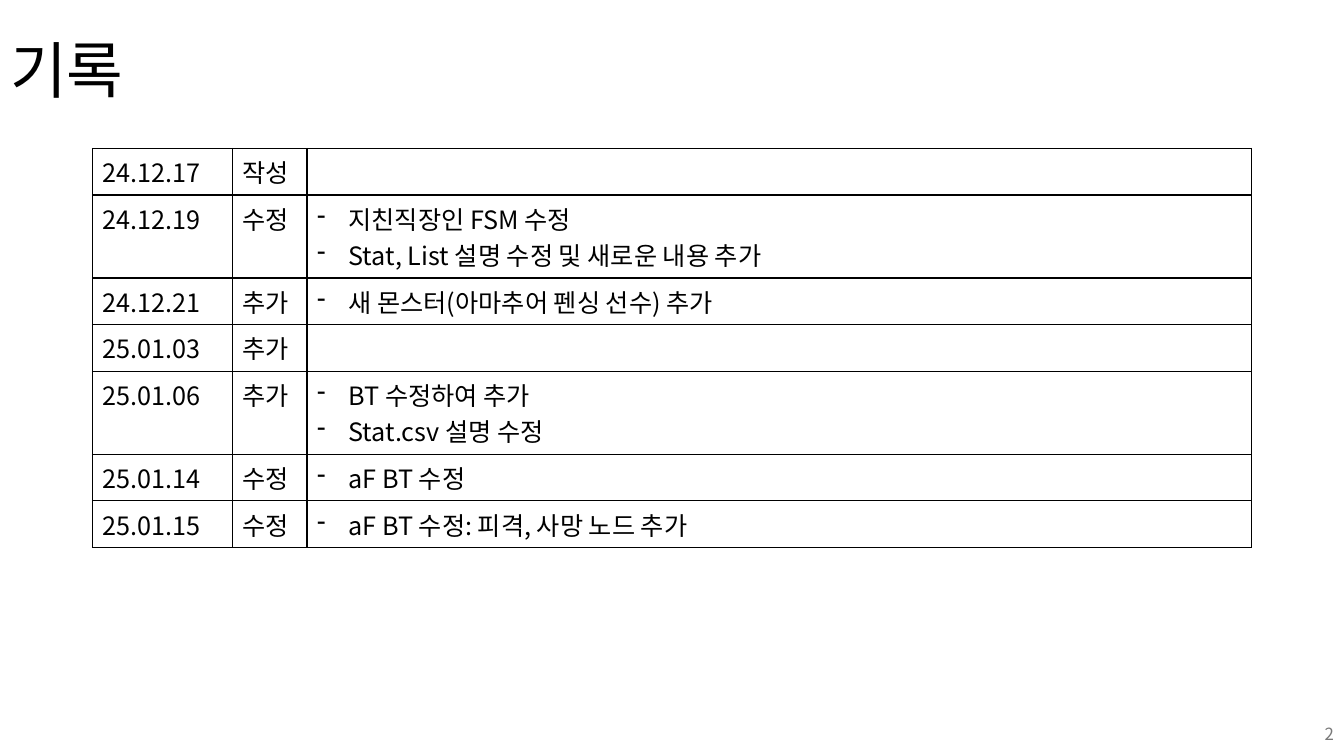
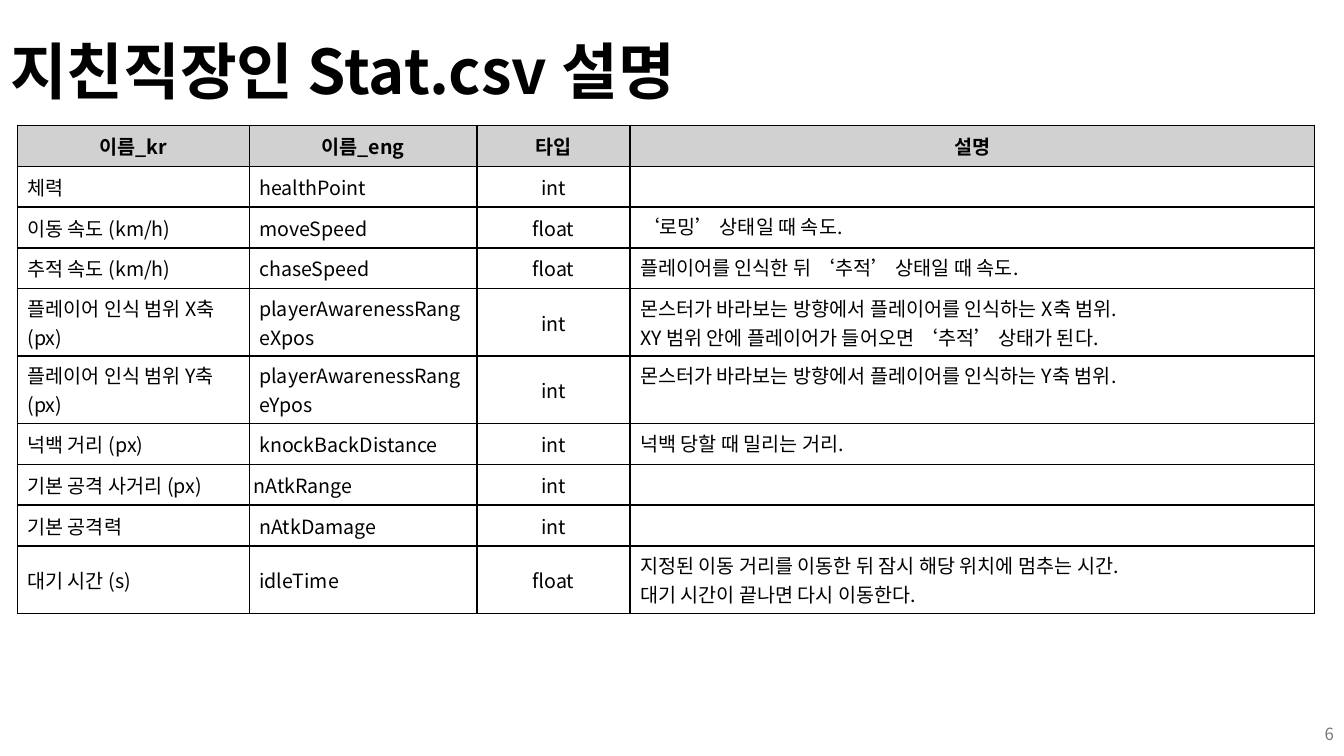
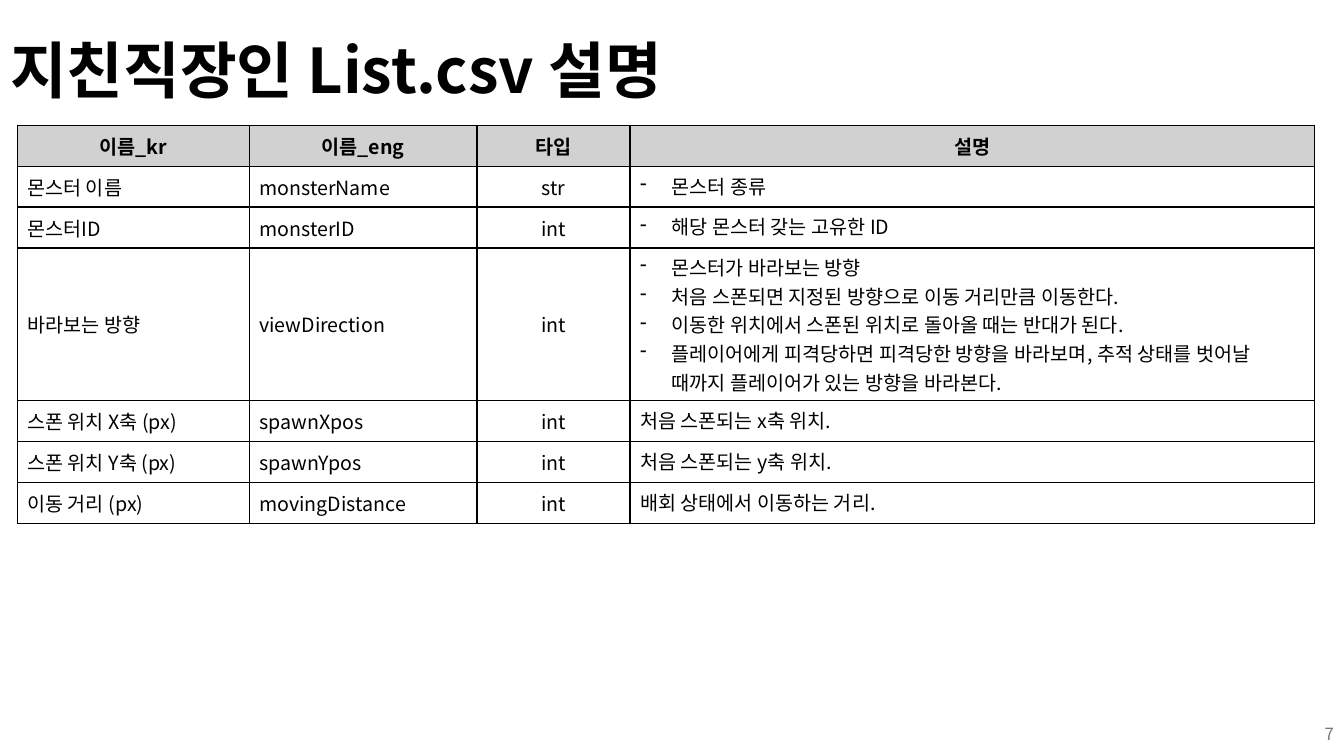
from dataclasses import dataclass

from lxml import etree
from pptx import Presentation
from pptx.dml.color import RGBColor
from pptx.enum import text
from pptx.oxml import ns
from pptx.util import Pt

LEFT, CENTER, RIGHT = text.PP_ALIGN.LEFT, text.PP_ALIGN.CENTER, text.PP_ALIGN.RIGHT
TOP, MIDDLE = text.MSO_ANCHOR.TOP, text.MSO_ANCHOR.MIDDLE


@dataclass(frozen=True)
class Theme:
    """Colours, font, type sizes and shared measures in points."""
    ink: RGBColor = RGBColor(0, 0, 0)
    muted: RGBColor = RGBColor(0x79, 0x79, 0x79)
    paper: RGBColor = RGBColor(0xFF, 0xFF, 0xFF)
    header: RGBColor = RGBColor(0xD1, 0xD1, 0xD1)
    font: str = "Noto Sans CJK KR"
    title: int = 44
    history: int = 18
    spec_table: int = 14
    number: int = 12
    row: float = 29.2
    border: float = 1
    bullet_indent: float = 22.5


THEME = Theme()
PAGE = (960, 540)
TITLE_BOX = (0, 0, 828, 104.4)
NUMBER_BOX = (744, 509.7, 216, 28.8)
HISTORY_BOX = (66, 106, 828)
STAT_BOX = (12.4, 89.5, 926.6)
HISTORY_SHARES = (100, 53.3, 674.7)
STAT_SHARES = (165.6, 162.7, 109.4, 488.9)
STAT_HEADER = ("이름_kr", "이름_eng", "타입", "설명")

HISTORY = (
    ("24.12.17", "작성", ""),
    ("24.12.19", "수정", ["지친직장인 FSM 수정", "Stat, List 설명 수정 및 새로운 내용 추가"]),
    ("24.12.21", "추가", ["새 몬스터(아마추어 펜싱 선수) 추가"]),
    ("25.01.03", "추가", ""),
    ("25.01.06", "추가", ["BT 수정하여 추가", "Stat.csv 설명 수정"]),
    ("25.01.14", "수정", ["aF BT 수정"]),
    ("25.01.15", "수정", ["aF BT 수정: 피격, 사망 노드 추가"]),
)

STATS = (
    ("체력", "healthPoint", "int", ""),
    ("이동 속도 (km/h)", "moveSpeed", "float", "‘로밍’ 상태일 때 속도."),
    ("추적 속도 (km/h)", "chaseSpeed", "float", "플레이어를 인식한 뒤 ‘추적’ 상태일 때 속도."),
    ("플레이어 인식 범위 X축 (px)", "playerAwarenessRangeXpos", "int",
     "몬스터가 바라보는 방향에서 플레이어를 인식하는 X축 범위. \n"
     "XY 범위 안에 플레이어가 들어오면 ‘추적’ 상태가 된다."),
    ("플레이어 인식 범위 Y축 (px)", "playerAwarenessRangeYpos", "int",
     "몬스터가 바라보는 방향에서 플레이어를 인식하는 Y축 범위."),
    ("넉백 거리 (px)", "knockBackDistance", "int", "넉백 당할 때 밀리는 거리."),
    ("기본 공격 사거리 (px)", " nAtkRange", "int", ""),
    ("기본 공격력", "nAtkDamage", "int", ""),
    ("대기 시간 (s)", "idleTime", "float",
     "지정된 이동 거리를 이동한 뒤 잠시 해당 위치에 멈추는 시간.\n"
     "대기 시간이 끝나면 다시 이동한다."),
)

LISTS = (
    ("몬스터 이름", "monsterName", "str", ["몬스터 종류"]),
    ("몬스터ID", "monsterID", "int", ["해당 몬스터 갖는 고유한 ID"]),
    ("바라보는 방향", "viewDirection", "int", [
        "몬스터가 바라보는 방향",
        "처음 스폰되면 지정된 방향으로 이동 거리만큼 이동한다.",
        "이동한 위치에서 스폰된 위치로 돌아올 때는 반대가 된다.",
        "플레이어에게 피격당하면 피격당한 방향을 바라보며, 추적 상태를 벗어날 때까지 "
        "플레이어가 있는 방향을 바라본다."]),
    ("스폰 위치 X축 (px)", "spawnXpos", "int", "처음 스폰되는 x축 위치."),
    ("스폰 위치 Y축 (px)", "spawnYpos", "int", "처음 스폰되는 y축 위치."),
    ("이동 거리 (px)", "movingDistance", "int", "배회 상태에서 이동하는 거리."),
)


def write(para, words, size, color=THEME.ink, bold=False, align=LEFT):
    """Add the words to a paragraph, one run for each line."""
    para.alignment = align
    for index, line in enumerate(words.split("\n")):
        if index:
            para.add_line_break()
        span = para.add_run()
        span.text = line
        span.font.size, span.font.bold, span.font.name = Pt(size), bold, THEME.font
        span.font.color.rgb = color
        east_asian = etree.SubElement(span.font._element, ns.qn("a:ea"))
        east_asian.set("typeface", THEME.font)


def add_bullet(para):
    """Give a paragraph a dash and a hanging indent."""
    properties = para._p.get_or_add_pPr()
    properties.set("marL", str(Pt(THEME.bullet_indent)))
    properties.set("indent", str(-Pt(THEME.bullet_indent)))
    etree.SubElement(properties, ns.qn("a:buChar")).set("char", "-")


def add_borders(cell):
    """Draw a thin line on each side of a cell."""
    properties = cell._tc.get_or_add_tcPr()
    for index, side in enumerate("LRTB"):
        line = etree.Element(ns.qn("a:ln" + side), w=str(Pt(THEME.border)))
        fill = etree.SubElement(line, ns.qn("a:solidFill"))
        etree.SubElement(fill, ns.qn("a:srgbClr")).set("val", str(THEME.ink))
        properties.insert(index, line)


def fill_cell(cell, content, size, fill=THEME.paper, anchor=TOP, bold=False, align=LEFT):
    """Format a cell and write plain text, or bullets from a list."""
    cell.fill.solid()
    cell.fill.fore_color.rgb = fill
    cell.vertical_anchor = anchor
    add_borders(cell)
    frame = cell.text_frame
    if not content:
        frame.paragraphs[0]._p.get_or_add_endParaRPr().set("sz", str(size * 100))
        return
    bulleted = isinstance(content, list)
    for index, words in enumerate(content if bulleted else [content]):
        para = frame.add_paragraph() if index else frame.paragraphs[0]
        write(para, words, size, bold=bold, align=align)
        if bulleted:
            add_bullet(para)


def add_grid(page, box, shares, row_count):
    """Add an unstyled table whose columns share the width of the box."""
    left, top, width = box
    table = page.shapes.add_table(row_count, len(shares), Pt(left), Pt(top), Pt(width),
                                  Pt(THEME.row * row_count)).table
    table.first_row = table.horz_banding = False
    for column, share in zip(table.columns, shares):
        column.width = Pt(round(width * share / sum(shares), 2))
    for row in table.rows:
        row.height = Pt(THEME.row)
    return table


def add_history(page, box, rows):
    """Add the table of dated changes."""
    table = add_grid(page, box, HISTORY_SHARES, len(rows))
    for row, contents in zip(table.rows, rows):
        for cell, content in zip(row.cells, contents):
            fill_cell(cell, content, THEME.history)


def add_field_table(page, box, rows):
    """Add a headed table that describes the fields of a file."""
    table = add_grid(page, box, STAT_SHARES, len(rows) + 1)
    for cell, heading in zip(table.rows[0].cells, STAT_HEADER):
        fill_cell(cell, heading, THEME.spec_table, THEME.header, MIDDLE, True, CENTER)
    for number, contents in enumerate(rows, 1):
        for column, content in enumerate(contents):
            cell = table.cell(number, column)
            fill_cell(cell, content, THEME.spec_table,
                      anchor=TOP if column == 3 else MIDDLE,
                      align=CENTER if column == 2 else LEFT)
            if content == " nAtkRange":
                cell.margin_left = cell.margin_right = 0
                cell.margin_top = cell.margin_bottom = 0


def place_text(shape, box, words, size, **style):
    """Put a text shape in its box and write one centred-height line."""
    shape.left, shape.top, shape.width, shape.height = map(Pt, box)
    frame = shape.text_frame
    frame.word_wrap = True
    frame.auto_size = text.MSO_AUTO_SIZE.NONE
    frame.vertical_anchor = MIDDLE
    write(frame.paragraphs[0], words, size, **style)
    return frame.paragraphs[0]


def add_page(deck, title, number, bold=True, title_drop=0):
    """Add a slide with its title and page number."""
    page = deck.slides.add_slide(deck.slide_layouts[5])
    left, top, width, height = TITLE_BOX
    heading = place_text(page.shapes.title, (left, top + title_drop, width, height),
                         title, THEME.title, bold=bold)
    heading.line_spacing = 0.9
    place_text(page.shapes.add_textbox(*map(Pt, NUMBER_BOX)), NUMBER_BOX, str(number),
               THEME.number, color=THEME.muted, align=RIGHT)
    return page


def main():
    """Build and save the deck."""
    deck = Presentation()
    deck.slide_width, deck.slide_height = map(Pt, PAGE)
    add_history(add_page(deck, "기록", 2, bold=False), HISTORY_BOX, HISTORY)
    add_field_table(add_page(deck, "지친직장인 Stat.csv 설명", 6, title_drop=1.4), STAT_BOX, STATS)
    add_field_table(add_page(deck, "지친직장인 List.csv 설명", 7), STAT_BOX, LISTS)
    deck.save("out.pptx")


if __name__ == "__main__":
    main()
